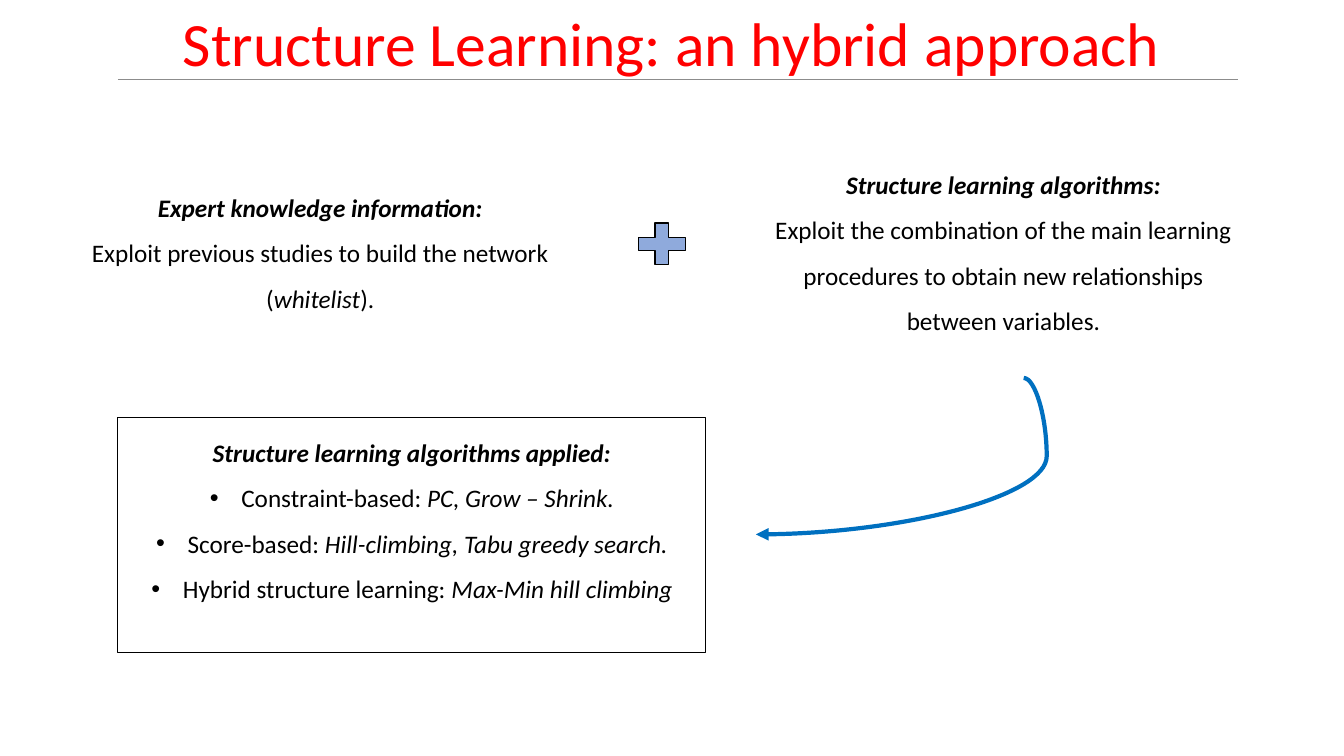
from lxml.etree import SubElement
from pptx import Presentation
from pptx.dml.color import RGBColor as RGB
from pptx.enum.shapes import MSO_CONNECTOR as Link, MSO_SHAPE as Kind
from pptx.enum.text import MSO_ANCHOR as Anchor, MSO_AUTO_SIZE as Fit, PP_ALIGN as Align
from pptx.oxml.ns import qn
from pptx.util import Pt

RED = RGB(0xFF, 0x00, 0x00)
BLACK = RGB(0x00, 0x00, 0x00)
GRAY = RGB(0x8C, 0x8C, 0x8C)
PALE = RGB(0x8F, 0xAA, 0xDC)
BLUE = RGB(0x00, 0x70, 0xC0)


class Page:
    font = "Calibri"
    size = 18
    dent = 22.5

    def __init__(self, deck):
        self.slide = deck.slides.add_slide(deck.slide_layouts[5])
        self.shapes = self.slide.shapes

    def style(self, run, size, color, bold=False, italic=False):
        font = run.font
        font.name, font.size = self.font, Pt(size)
        font.bold, font.italic = bold, italic
        font.color.rgb = color

    def title(self, text, left, top, width, height):
        box = self.shapes.title
        box.left, box.top, box.width, box.height = map(Pt, (left, top, width, height))
        frame = box.text_frame
        frame.text = text
        frame.auto_size = Fit.NONE
        frame.vertical_anchor = Anchor.MIDDLE
        para = frame.paragraphs[0]
        para.alignment, para.line_spacing = Align.CENTER, 0.9
        self.style(para.runs[0], 44, RED)

    def shape(self, kind, left, top, width, height, fill=None, line=1):
        item = self.shapes.add_shape(kind, *map(Pt, (left, top, width, height)))
        item.shadow.inherit = False
        if fill is None:
            item.fill.background()
        else:
            item.fill.solid()
            item.fill.fore_color.rgb = fill
        item.line.color.rgb, item.line.width = BLACK, Pt(line)
        return item

    def text(self, left, top, width, height):
        return self.shapes.add_textbox(*map(Pt, (left, top, width, height)))

    def note(self, box, head, lines, bullet=False):
        """Each line alternates plain and italic pieces."""
        frame = box.text_frame
        frame.word_wrap = True
        frame.vertical_anchor = Anchor.TOP
        frame.text = "\n".join([head] + [""] * len(lines))
        first, *rest = frame.paragraphs
        self.style(first.runs[0], self.size, BLACK, True, True)
        for para in frame.paragraphs:
            para.alignment, para.line_spacing = Align.CENTER, 1.5
        for para, line in zip(rest, lines):
            for place, piece in enumerate(line):
                run = para.add_run()
                run.text = piece
                self.style(run, self.size, BLACK, italic=place % 2 == 1)
            if bullet:
                self.bullet(para)

    def bullet(self, para):
        props = para._p.get_or_add_pPr()
        props.set("marL", str(Pt(self.dent)))
        props.set("indent", str(-Pt(self.dent)))
        SubElement(props, qn("a:buFont"), typeface="Arial")
        SubElement(props, qn("a:buChar"), char="•")

    def line(self, kind, start, end, color, width):
        link = self.shapes.add_connector(kind, *map(Pt, (*start, *end)))
        link.line.color.rgb, link.line.width = color, Pt(width)
        SubElement(link._element.spPr, qn("a:effectLst"))
        return link

    def arrow(self, start, end, color, width, bend):
        link = self.line(Link.CURVE, start, end, color, width)
        props = link._element.spPr
        SubElement(props.find(qn("a:ln")), qn("a:tailEnd"), type="triangle")
        guides = props.find(qn("a:prstGeom")).get_or_add_avLst()
        SubElement(guides, qn("a:gd"), name="adj1", fmla=f"val {bend}")


deck = Presentation()
deck.slide_width, deck.slide_height = Pt(960), Pt(540)
page = Page(deck)

# Title and rule
page.title("Structure Learning: an hybrid approach", 66, 3, 828, 60)
page.line(Link.STRAIGHT, (84.25, 56.75), (884.25, 56.75), GRAY, 0.5)

# Two sources of knowledge
page.note(page.text(52, 123, 353.5, 102), "Expert knowledge information:", [
    ["Exploit previous studies to build the network"],
    ["(", "whitelist", ")."],
])
page.note(page.text(540, 106.5, 353.5, 134.5), "Structure learning algorithms:", [
    ["Exploit the combination of the main learning procedures "
     "to obtain new relationships between variables."],
])
page.shape(Kind.MATH_PLUS, 450, 154, 45.5, 40.5, PALE)

# Arrow to the algorithms applied
page.arrow((731.25, 270), (540, 381.75), BLUE, 3, -8600)
panel = page.shape(Kind.RECTANGLE, 84.25, 298, 420, 168, line=0.75)
page.note(panel, "Structure learning algorithms applied:", [
    ["Constraint-based: ", "PC, Grow – Shrink."],
    ["Score-based: ", "Hill-climbing, Tabu greedy search."],
    ["Hybrid structure learning: ", "Max-Min hill climbing"],
], bullet=True)

deck.save("out.pptx")
